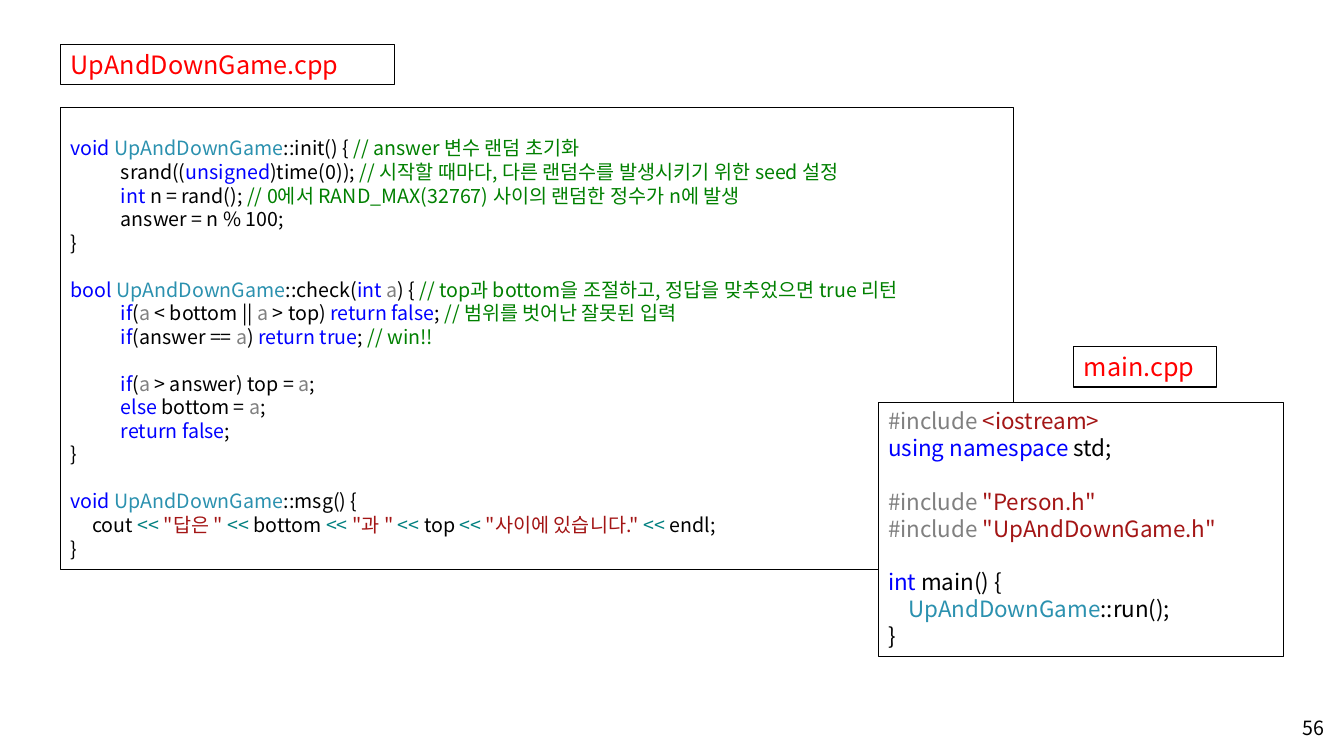
import pptx
import pptx.dml.color
import pptx.enum.shapes
import pptx.enum.text
import pptx.oxml.ns
import pptx.util
import lxml.etree

Inches = pptx.util.Inches
FACE = "Noto Sans CJK KR"
HUES = {"k": "000000", "b": "0000FF", "t": "2B91AF", "g": "008000",
        "a": "808080", "s": "A31515", "o": "008080", "r": "FF0000"}

GAME = """
§bvoid §tUpAndDownGame§k::init() { §g// answer 변수 랜덤 초기화
\t§ksrand((§bunsigned§k)time(0)); §g// 시작할 때마다, 다른 랜덤수를 발생시키기 위한 seed 설정
\t§bint §kn = rand(); §g// 0에서 RAND_MAX(32767) 사이의 랜덤한 정수가 n에 발생
\t§kanswer = n % 100;
§k}

§bbool §tUpAndDownGame§k::check(§bint §aa§k) { §g// top과 bottom을 조절하고, 정답을 맞추었으면 true 리턴
\t§bif§k(§aa§k < bottom || §aa§k > top) §breturn false§k; §g// 범위를 벗어난 잘못된 입력
\t§bif§k(answer == §aa§k) §breturn true§k; §g// win!!
\t
\t§bif§k(§aa§k > answer) top = §aa§k;
\t§belse §kbottom = §aa§k;
\t§breturn false§k;
§k}

§bvoid §tUpAndDownGame§k::msg() {
§k     cout §o<< §s"답은 " §o<< §kbottom §o<< §s"과 " §o<< §ktop §o<< §s"사이에 있습니다." §o<< §kendl;
§k}"""

MAIN = """§a#include §s<iostream>
§busing namespace§k std;

§a#include §s"Person.h"
§a#include §s"UpAndDownGame.h"

§bint§k main() {
§t    UpAndDownGame§k::run();
§k}"""


def color(text):
    """Turn a hex string into a colour."""
    return pptx.dml.color.RGBColor.from_string(text)


def place(shape, box):
    """Move a shape to a box given in inches."""
    shape.left, shape.top, shape.width, shape.height = map(Inches, box)


def style(run, size, hue):
    """Set the font of one run, for Latin and Korean letters."""
    font = run.font
    font.name, font.size = FACE, pptx.util.Pt(size)
    font.color.rgb = color(hue)
    east = lxml.etree.SubElement(font._element, pptx.oxml.ns.qn("a:ea"))
    east.set("typeface", FACE)


def write(shape, text, size):
    """Fill a shape with lines whose runs start with a colour mark."""
    frame = shape.text_frame
    frame.word_wrap = True
    for i, line in enumerate(text.split("\n")):
        para = frame.add_paragraph() if i else frame.paragraphs[0]
        para.alignment = pptx.enum.text.PP_ALIGN.LEFT
        if line.startswith("\t"):
            para.level = 1
            props = para._p.get_or_add_pPr()
            props.set("marL", str(Inches(0.5)))
            props.set("indent", "0")
        parts = line.strip("\t").split("§")[1:]
        for part in parts:
            run = para.add_run()
            run.text = part[1:]
            style(run, size, HUES[part[0]])
        if not parts:
            end = lxml.etree.SubElement(para._p, pptx.oxml.ns.qn("a:endParaRPr"))
            end.set("sz", str(size * 100))


def frame(shape):
    """Give a shape a white fill and a thin black border."""
    shape.fill.solid()
    shape.fill.fore_color.rgb = color("FFFFFF")
    shape.line.color.rgb = color("000000")
    shape.line.width = pptx.util.Pt(0.75)


def panel(slide, box, text, size):
    """Add a bordered box of coloured code."""
    kind = pptx.enum.shapes.MSO_SHAPE.RECTANGLE
    shape = slide.shapes.add_shape(kind, *map(Inches, box))
    shape.shadow.inherit = False
    frame(shape)
    shape.text_frame.vertical_anchor = pptx.enum.text.MSO_ANCHOR.TOP
    write(shape, text, size)


def head(slide, box, text):
    """Place the title as a bordered file name."""
    title = slide.shapes.title
    place(title, box)
    frame(title)
    title.text_frame.auto_size = pptx.enum.text.MSO_AUTO_SIZE.NONE
    title.text_frame.vertical_anchor = pptx.enum.text.MSO_ANCHOR.TOP
    write(title, text, 18)


def number(slide, box, text):
    """Add the page number at the right of its box."""
    shape = slide.shapes.add_textbox(*map(Inches, box))
    write(shape, text, 14)
    shape.text_frame.paragraphs[0].alignment = pptx.enum.text.PP_ALIGN.RIGHT


def main():
    """Build and save the slide."""
    deck = pptx.Presentation()
    deck.slide_width, deck.slide_height = Inches(13.33), Inches(7.5)
    slide = deck.slides.add_slide(deck.slide_layouts[5])
    head(slide, (0.6, 0.44, 3.31, 0.4), "§rUpAndDownGame.cpp")
    panel(slide, (0.6, 1.07, 9.45, 4.58), GAME, 14)
    panel(slide, (8.71, 3.99, 4.02, 2.52), MAIN, 16)
    panel(slide, (10.65, 3.44, 1.42, 0.4), "§rmain.cpp", 18)
    number(slide, (12.52, 7.05, 0.71, 0.34), "§k56")
    deck.save("out.pptx")


if __name__ == "__main__":
    main()
